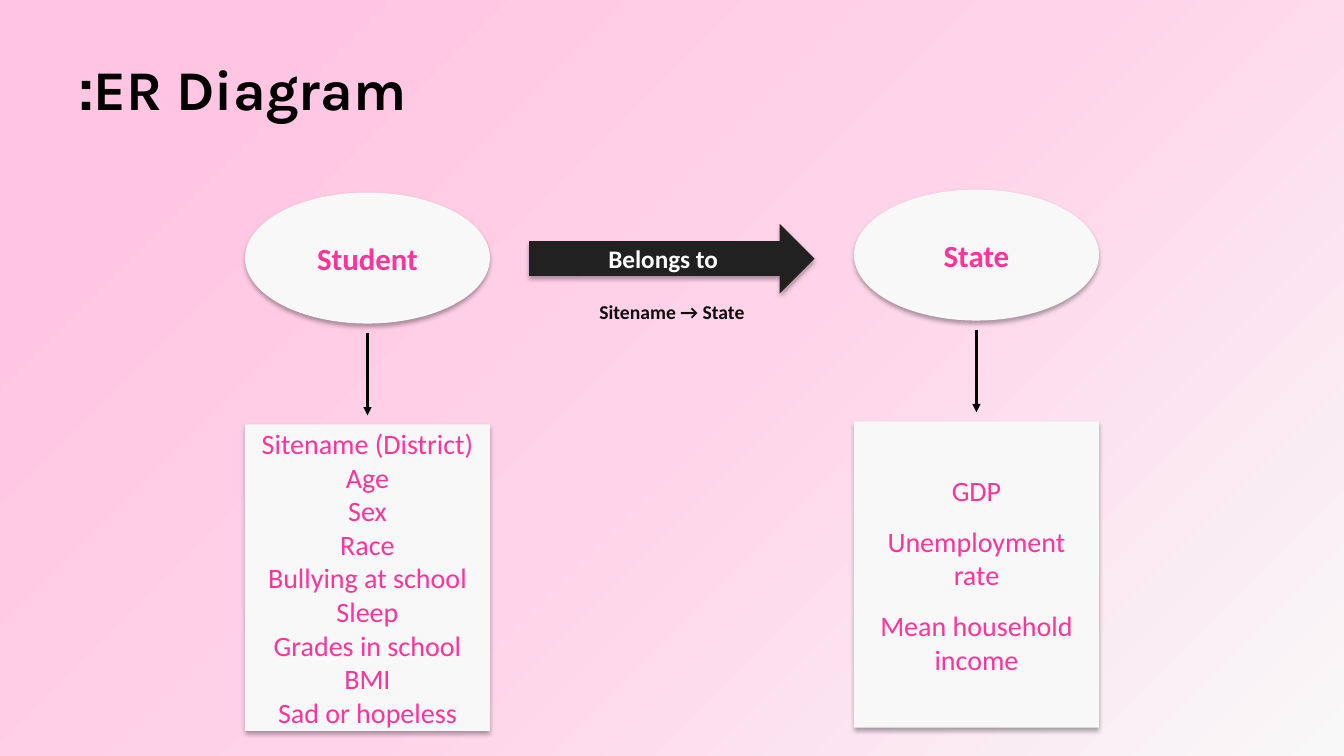
from copy import deepcopy

from pptx import Presentation
from pptx.dml.color import RGBColor
from pptx.enum.shapes import MSO_CONNECTOR as CONN, MSO_SHAPE as SHAPE
from pptx.enum.text import MSO_ANCHOR as ANCHOR, PP_ALIGN as ALIGN
from pptx.oxml import parse_xml
from pptx.oxml.ns import nsdecls, qn
from pptx.util import Inches, Pt

PALE = RGBColor(0xF8, 0xF8, 0xF8)
BLUSH = RGBColor(0xFF, 0xD3, 0xE9)
ROSE = RGBColor(0xFF, 0xC5, 0xE2)
PINK = RGBColor(0xFF, 0x33, 0x99)
CHARCOAL = RGBColor(0x21, 0x21, 0x21)
INK = RGBColor(0x0D, 0x0D, 0x0D)
BLACK = RGBColor(0, 0, 0)
WHITE = RGBColor(0xFF, 0xFF, 0xFF)

SHADOW = (f'<a:outerShdw {nsdecls("a")} blurRad="44450" dist="27940" dir="5400000" '
          'algn="ctr" rotWithShape="0"><a:srgbClr val="000000">'
          '<a:alpha val="32000"/></a:srgbClr></a:outerShdw>')


class Diagram:
    """Draws on one slide; lengths are percent of its width and height."""

    def __init__(self, prs, font):
        self.s = prs.slides.add_slide(prs.slide_layouts[6])
        self.col = prs.slide_width / 100
        self.row = prs.slide_height / 100
        self.font = font

    def place(self, *lengths):
        units = (self.col, self.row) * 2
        return [round(n * unit) for n, unit in zip(lengths, units)]

    def background(self, stops, angle):
        fill = self.s.background.fill
        fill.gradient()
        fill.gradient_angle = angle
        gs_list = self.s._element.find(".//" + qn("a:gsLst"))
        while len(gs_list) < len(stops):
            gs_list.append(deepcopy(gs_list[0]))
        for stop, (position, color) in zip(fill.gradient_stops, stops):
            stop.position = position
            stop.color.rgb = color

    def fill_text(self, tf, lines, size, color, bold=False, font=None, rtl=True, gap=0):
        tf.word_wrap = True
        for i, line in enumerate(lines):
            p = tf.add_paragraph() if i else tf.paragraphs[0]
            p.alignment = ALIGN.CENTER
            if i and gap:
                p.space_before = Pt(gap)
            if rtl:
                p._p.get_or_add_pPr().set("rtl", "1")
            r = p.add_run()
            r.text = line
            r.font.name = font or self.font
            r.font.size = Pt(size)
            r.font.bold = bold
            r.font.color.rgb = color

    def shape(self, kind, box, fill, lines, size, color, **style):
        sp = self.s.shapes.add_shape(kind, *self.place(*box))
        sp.fill.solid()
        sp.fill.fore_color.rgb = fill
        sp.line.fill.background()
        sp.shadow.inherit = False
        sp._element.spPr.find(qn("a:effectLst")).append(parse_xml(SHADOW))
        sp.text_frame.vertical_anchor = ANCHOR.MIDDLE
        self.fill_text(sp.text_frame, lines, size, color, **style)

    def text(self, box, line, size, color, **style):
        tb = self.s.shapes.add_textbox(*self.place(*box))
        self.fill_text(tb.text_frame, [line], size, color, bold=True, **style)

    def arrow(self, x, top, bottom):
        c = self.s.shapes.add_connector(CONN.STRAIGHT, *self.place(x, top, x, bottom))
        c.line.color.rgb = BLACK
        c.line.width = Pt(1.5)
        ln = c._element.spPr.find(qn("a:ln"))
        ln.append(parse_xml(f'<a:tailEnd {nsdecls("a")} type="triangle"/>'))
        c._element.spPr.append(parse_xml(f'<a:effectLst {nsdecls("a")}/>'))

    def entity(self, x, y, name, attributes, gap=0):
        """An ellipse with an arrow down to the box of its attributes."""
        width = 18.23
        self.shape(SHAPE.OVAL, (x, y, width, 17.33), PALE, [name], 22, PINK, bold=True)
        self.arrow(x + width / 2, y + 18.53, y + 29.47)
        self.shape(SHAPE.RECTANGLE, (x, y + 30.67, width, 40.53), PALE,
                   attributes, 20, PINK, gap=gap)


def main():
    prs = Presentation()
    prs.slide_width, prs.slide_height = Inches(13.33), Inches(7.5)
    d = Diagram(prs, "Calibri")
    d.background([(0, PALE), (0.48, BLUSH), (0.87, ROSE)], 135)

    # Entities
    d.entity(18.23, 25.47, "Student",
             ["Sitename (District)", "Age", "Sex", "Race", "Bullying at school",
              "Sleep", "Grades in school", "BMI", "Sad or hopeless"])
    d.entity(63.54, 25.07, "State",
             ["GDP", "Unemployment rate", "Mean household income"], gap=12.2)

    # Relationship
    d.shape(SHAPE.RIGHT_ARROW, (39.38, 29.6, 21.23, 9.2), CHARCOAL,
            ["Belongs to"], 18, WHITE, bold=True)

    # Title and caption
    d.text((3, 6.53, 30.16, 10.27), "ER Diagram:", 40, BLACK, font="Karla")
    d.text((41.26, 39.07, 17.48, 4.53), "Sitename → State", 14, INK, rtl=False)

    prs.save("out.pptx")


if __name__ == "__main__":
    main()
